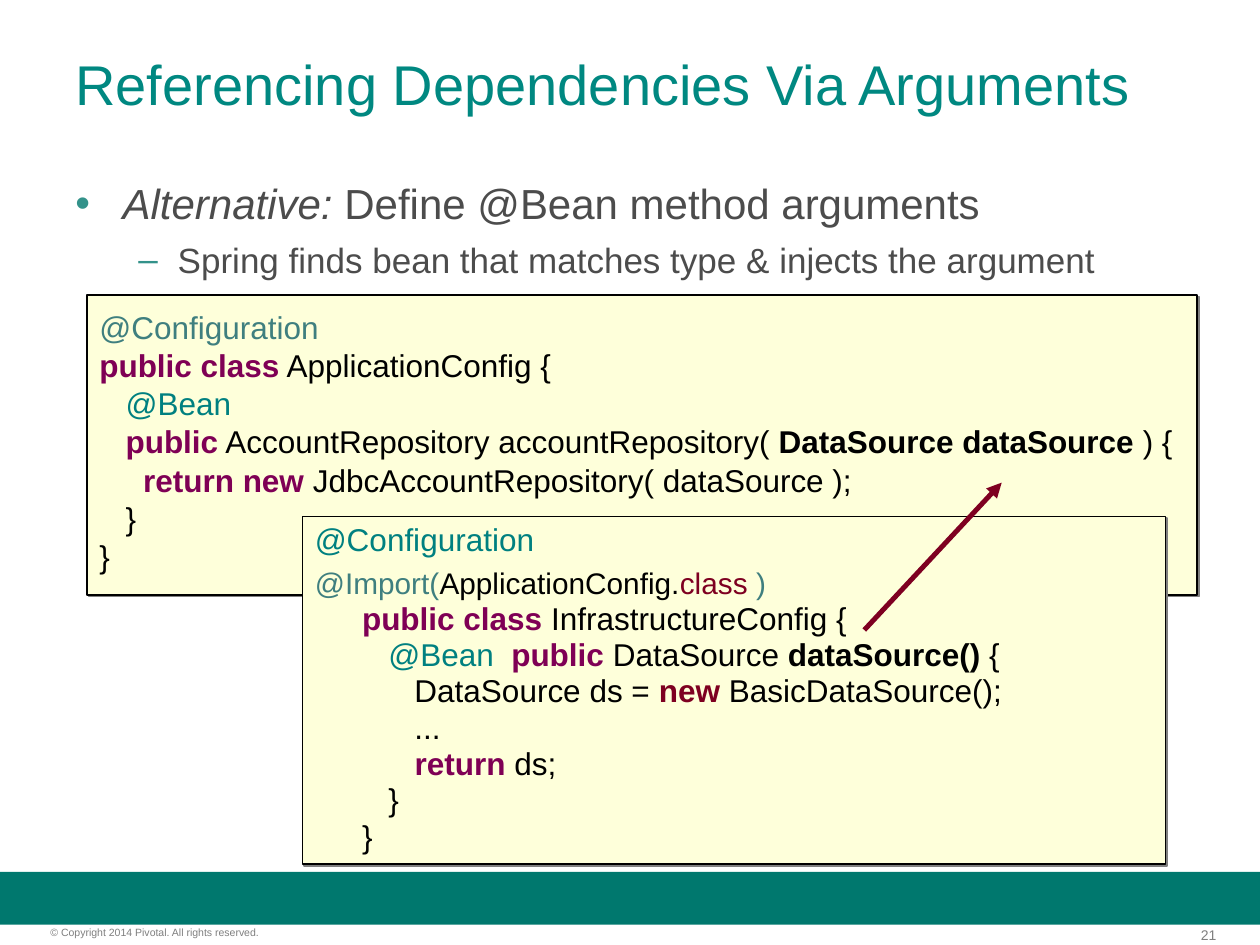
from lxml.etree import SubElement
from pptx import Presentation
from pptx.dml.color import RGBColor
from pptx.enum.shapes import MSO_CONNECTOR, MSO_SHAPE
from pptx.enum.text import MSO_ANCHOR, PP_ALIGN
from pptx.oxml.ns import qn
from pptx.util import Pt

FONT = "Arial"
GREEN, TITLE, BULLET = "00786E", "008881", "33928A"
BODY, FOOTER = "4C4C4C", "7F7F7F"
BLACK, KEYWORD, ANNOTATION, MUTED, RED = "000000", "7F0055", "008080", "3F7F7F", "7E0021"
CODE_FILL, SHADOW = "FEFFDA", "808080"
HANGING = 27
APPLICATION_SPACING, INFRASTRUCTURE_SPACING = 0.8, 0.96

# Each line of code is a list of runs: text, colour, bold
APPLICATION_CODE = [
    [("@Configuration", MUTED, False)],
    [("public class", KEYWORD, True), (" ApplicationConfig {", BLACK, False)],
    [("   ", BLACK, False), ("@Bean", ANNOTATION, False)],
    [("   ", BLACK, False), ("public", KEYWORD, True),
     (" AccountRepository accountRepository( ", BLACK, False),
     ("DataSource dataSource ", BLACK, True), (") {", BLACK, False)],
    [("     ", BLACK, False), ("return new", KEYWORD, True),
     (" JdbcAccountRepository( dataSource );", BLACK, False)],
    [("   }", BLACK, False)],
    [("}", BLACK, False)],
]
INFRASTRUCTURE_HEAD = [("@Configuration", ANNOTATION, False)]
INFRASTRUCTURE_IMPORT = [
    ("@Import(", MUTED, False), ("ApplicationConfig.", BLACK, False),
    ("class", RED, False), (" )", MUTED, False),
]
INFRASTRUCTURE_CODE = [
    [("public class", KEYWORD, True), (" InfrastructureConfig {", BLACK, False)],
    [("   ", BLACK, False), ("@Bean  ", ANNOTATION, False), ("public", KEYWORD, True),
     (" DataSource ", BLACK, False), ("dataSource() ", BLACK, True), ("{", BLACK, False)],
    [("      DataSource ds = ", BLACK, False), ("new", RED, True),
     (" BasicDataSource();", BLACK, False)],
    [("      ...", BLACK, False)],
    [("      ", BLACK, False), ("return", KEYWORD, True), (" ds;", BLACK, False)],
    [("   }", BLACK, False)],
    [("}", BLACK, False)],
]


def rgb(color):
    return RGBColor.from_string(color)


def add_run(paragraph, text, size, color, bold=False, italic=False):
    run = paragraph.add_run()
    run.text = text
    font = run.font
    font.name, font.size, font.bold, font.italic = FONT, Pt(size), bold, italic
    font.color.rgb = rgb(color)


def next_paragraph(frame):
    """Return the empty first paragraph, or a new one."""
    first = frame.paragraphs[0]
    return frame.add_paragraph() if first.runs else first


def set_indent(paragraph, margin, indent):
    properties = paragraph._p.get_or_add_pPr()
    properties.set("marL", str(Pt(margin)))
    properties.set("indent", str(Pt(indent)))


def set_bullet(paragraph, character, color):
    properties = paragraph._p.get_or_add_pPr()
    bullet_color = SubElement(properties, qn("a:buClr"))
    SubElement(bullet_color, qn("a:srgbClr"), val=color)
    SubElement(properties, qn("a:buFont"), typeface=FONT)
    SubElement(properties, qn("a:buChar"), char=character)


def add_text_box(slide, left, top, width, height, insets=(0, 0)):
    """Add a wrapping box; insets are horizontal and vertical."""
    box = slide.shapes.add_textbox(Pt(left), Pt(top), Pt(width), Pt(height))
    frame = box.text_frame
    frame.word_wrap = True
    frame.margin_left = frame.margin_right = Pt(insets[0])
    frame.margin_top = frame.margin_bottom = Pt(insets[1])
    return frame


def add_bullet_line(frame, character, margin, indent, size, runs, space=0):
    paragraph = next_paragraph(frame)
    set_indent(paragraph, margin, indent)
    paragraph.space_before = Pt(space)
    set_bullet(paragraph, character, BULLET)
    for text, italic in runs:
        add_run(paragraph, text, size, BODY, italic=italic)


def add_rectangle(slide, left, top, width, height, fill):
    rectangle = slide.shapes.add_shape(
        MSO_SHAPE.RECTANGLE, Pt(left), Pt(top), Pt(width), Pt(height))
    rectangle.shadow.inherit = False
    rectangle.fill.solid()
    rectangle.fill.fore_color.rgb = rgb(fill)
    rectangle.line.fill.background()
    return rectangle


def add_code_box(slide, left, top, width, height, anchor):
    box = add_rectangle(slide, left, top, width, height, CODE_FILL)
    box.line.color.rgb = rgb(BLACK)
    box.line.width = Pt(1)
    effects = box._element.spPr.find(qn("a:effectLst"))
    shadow = SubElement(effects, qn("a:outerShdw"), blurRad="0", dist=str(Pt(1.4)),
                        dir="2700000", algn="tl", rotWithShape="0")
    SubElement(shadow, qn("a:srgbClr"), val=SHADOW)
    frame = box.text_frame
    frame.word_wrap = True
    frame.vertical_anchor = anchor
    return frame


def add_code_line(frame, runs, spacing, size=18, margin=0, indent=0, space=0):
    paragraph = next_paragraph(frame)
    set_indent(paragraph, margin, indent)
    paragraph.alignment = PP_ALIGN.LEFT
    paragraph.line_spacing = spacing
    paragraph.space_before = Pt(space)
    for text, color, bold in runs:
        add_run(paragraph, text, size, color, bold)


def add_arrow(slide, start, end, color, width):
    arrow = slide.shapes.add_connector(
        MSO_CONNECTOR.STRAIGHT, *(Pt(value) for value in start + end))
    arrow.line.color.rgb = rgb(color)
    arrow.line.width = Pt(width)
    SubElement(arrow.line._get_or_add_ln(), qn("a:tailEnd"), type="triangle")
    SubElement(arrow._element.spPr, qn("a:effectLst"))


def add_footer(slide):
    add_rectangle(slide, 0, 498.2, 720, 30.2, GREEN)
    number = add_text_box(slide, 653.3, 529.2, 41.8, 9.4).paragraphs[0]
    number.alignment = PP_ALIGN.RIGHT
    add_run(number, "21", 8, FOOTER)
    notice = add_text_box(slide, 28.8, 529.2, 179.3, 7.2).paragraphs[0]
    add_run(notice, "© Copyright 2014 Pivotal. All rights reserved.", 6, FOOTER)


def main():
    presentation = Presentation()
    presentation.slide_width, presentation.slide_height = Pt(720), Pt(540)
    slide = presentation.slides.add_slide(presentation.slide_layouts[6])
    add_footer(slide)

    title = add_text_box(slide, 36, 21.6, 648, 90, (7.2, 6.8))
    add_run(title.paragraphs[0], "Referencing Dependencies Via Arguments", 32, TITLE)

    application = add_code_box(slide, 49.7, 168.5, 634.3, 171.4, MSO_ANCHOR.MIDDLE)
    for index, runs in enumerate(APPLICATION_CODE):
        add_code_line(application, runs, APPLICATION_SPACING, margin=HANGING,
                      indent=-HANGING, space=4.5 if index else 0)

    points = add_text_box(slide, 36, 97.9, 648, 356.4, (7.2, 3.6))
    add_bullet_line(points, "•", HANGING, -HANGING, 24,
                    [("Alternative:", True), (" Define @Bean method arguments", False)])
    add_bullet_line(points, "–", 58.5, -22.5, 20,
                    [("Spring finds bean that matches type & injects the argument", False)],
                    space=6)

    infrastructure = add_code_box(slide, 172.8, 295.2, 493.2, 198.7, MSO_ANCHOR.TOP)
    add_code_line(infrastructure, INFRASTRUCTURE_HEAD, INFRASTRUCTURE_SPACING)
    add_code_line(infrastructure, INFRASTRUCTURE_IMPORT, INFRASTRUCTURE_SPACING, size=17,
                  margin=HANGING, indent=-HANGING, space=4.5)
    for runs in INFRASTRUCTURE_CODE:
        add_code_line(infrastructure, runs, INFRASTRUCTURE_SPACING, margin=HANGING)

    add_arrow(slide, (493.9, 360), (572.4, 275.8), RED, 2.83)
    presentation.save("out.pptx")


if __name__ == "__main__":
    main()
